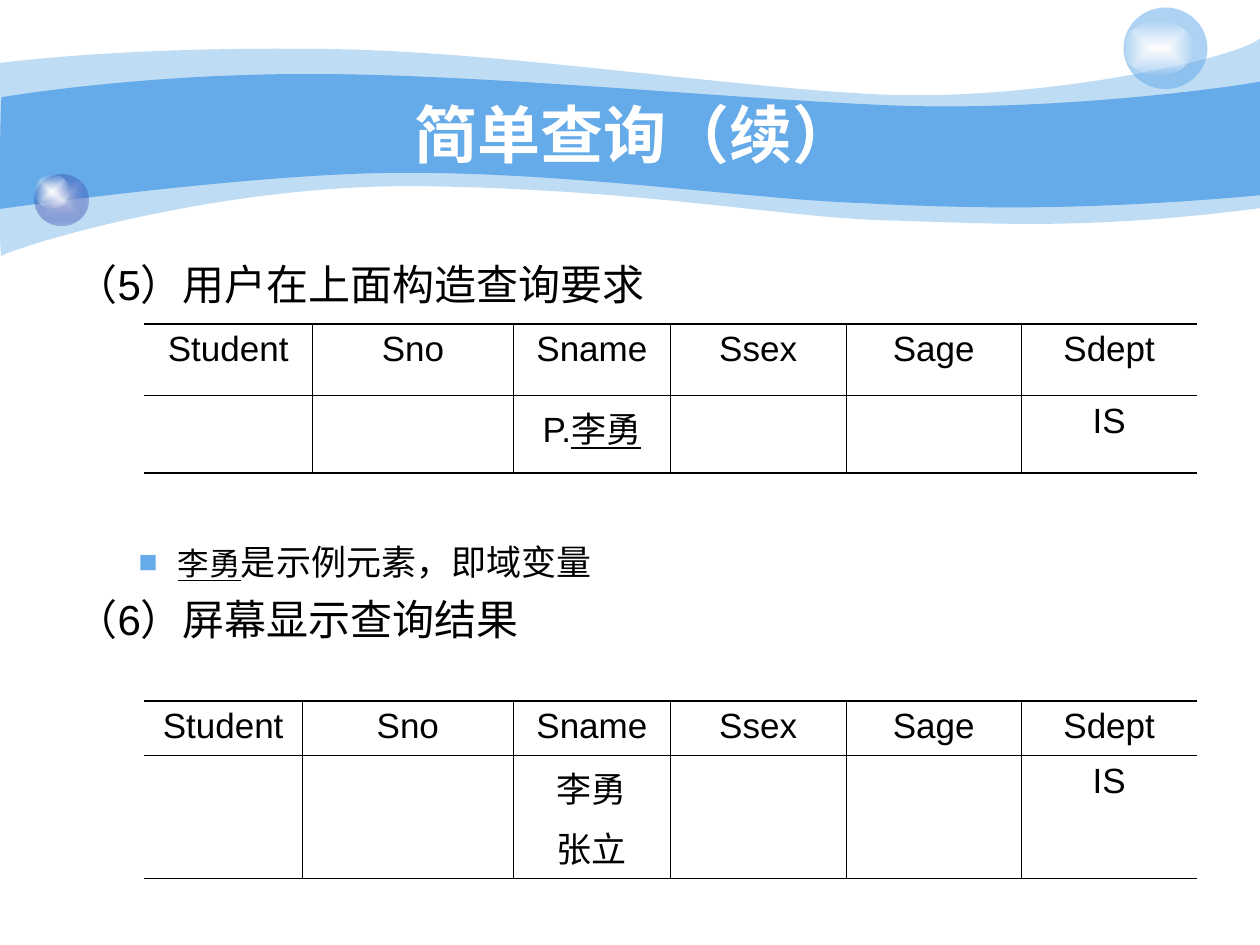
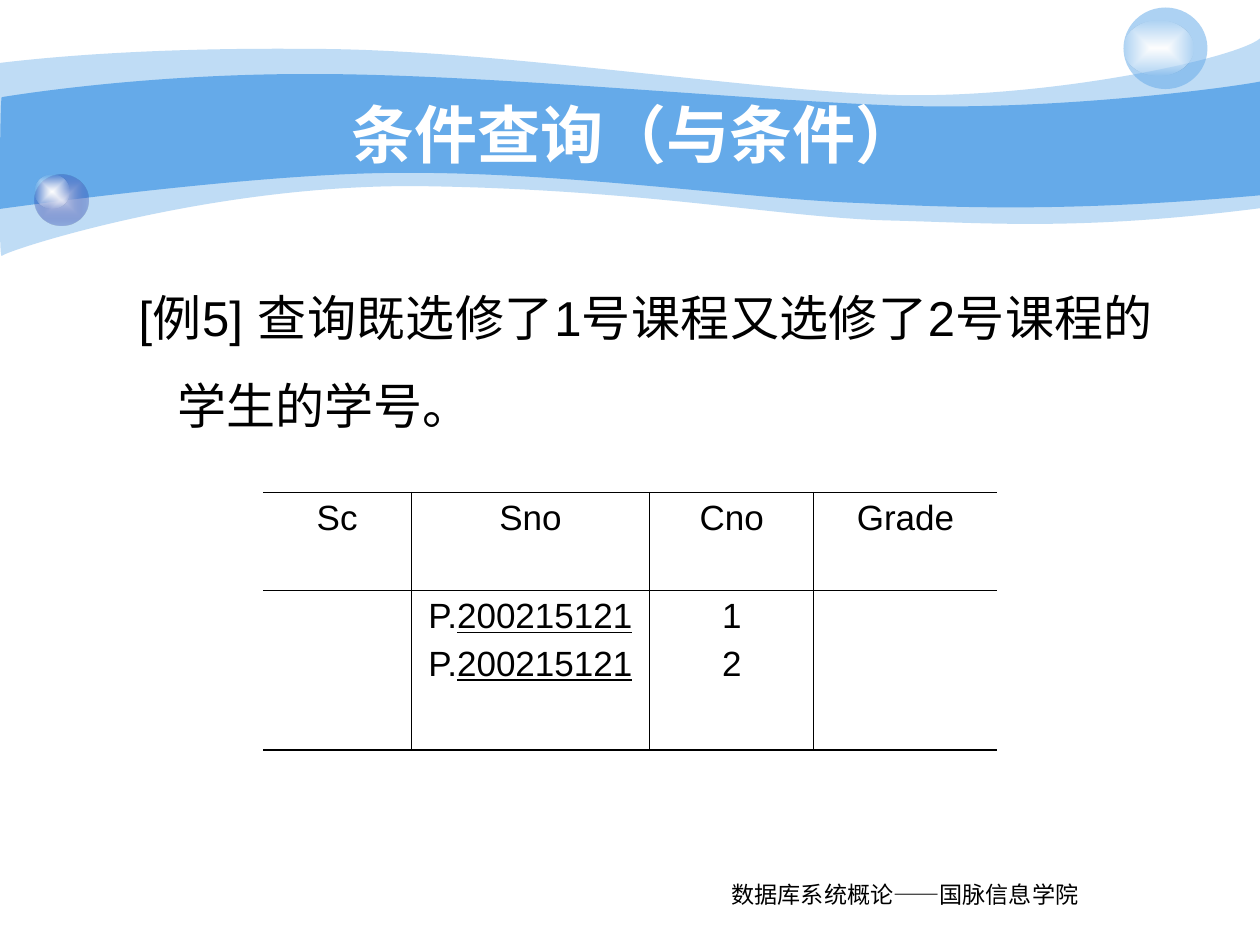
import pptx
import pptx.util
import pptx.dml.color
import pptx.enum.shapes
import pptx.enum.text
import pptx.oxml.ns
import lxml.etree

Pt = pptx.util.Pt
qn = pptx.oxml.ns.qn
RGBColor = pptx.dml.color.RGBColor
PP_ALIGN = pptx.enum.text.PP_ALIGN

SKY = RGBColor(0x65, 0xAA, 0xE9)
LAVENDER = RGBColor(0xC7, 0xCE, 0xE9)
NAVY = RGBColor(0x23, 0x3D, 0xA9)
WHITE = RGBColor(0xFF, 0xFF, 0xFF)
BLACK = RGBColor(0x00, 0x00, 0x00)

FONT = "Arial"
FOOTER_FONT = "Times New Roman"
THICK, THIN = 1.08, 0.45

# Each wave is a start point and its edges: one point for a line, three for a curve.
PALE_WAVE = ((0, 36), [
    [(17, 34), (77, 27), (178, 28)],
    [(278, 28), (414, 50), (503, 54)],
    [(592, 58), (706, 34), (720, 22)],
    [(720, 119)],
    [(618, 132), (567, 127.5), (508, 126)],
    [(448, 124.5), (371, 108.7), (247, 106.5)],
    [(124, 103.7), (3, 143.3), (1, 146.3)],
    [(-1, 150), (0, 54), (0, 36)],
])
MAIN_WAVE = ((1, 55.5), [
    [(1.5, 55.5), (79, 42), (179, 42.3)],
    [(278, 42.3), (428, 57.5), (517, 60.5)],
    [(606, 63), (703, 50), (720, 46.6)],
    [(720, 111.6)],
    [(614, 121), (551, 119), (491, 116)],
    [(431, 114), (322, 98), (228, 98.8)],
    [(146, 98.8), (-1, 119.5), (-1, 119.5)],
    [(0, 119.5), (0, 55.5), (1, 55.5)],
])


def add_child(parent, tag, **attributes):
    return lxml.etree.SubElement(parent, qn(tag), attributes)


def set_alpha(color_parent, percent):
    color = next(color_parent.iter(qn("a:srgbClr")))
    add_child(color, "a:alpha", val=str(percent * 1000))


def bend_edges(shape, edges):
    """Join each three line segments that stand for a curve into one cubic curve."""
    outline = next(shape.element.spPr.iter(qn("a:path")))
    segments = iter(outline.findall(qn("a:lnTo")))
    for edge in edges:
        parts = [next(segments) for _ in edge]
        if len(parts) == 3:
            curve = add_child(outline, "a:cubicBezTo")
            parts[0].addprevious(curve)
            for part in parts:
                curve.append(part[0])
                outline.remove(part)


class Deck:
    def __init__(self):
        self.presentation = pptx.Presentation()
        self.presentation.slide_width = Pt(720)
        self.presentation.slide_height = Pt(540)
        self.layout = self.presentation.slide_layouts[1]
        self.slide = None

    def new_slide(self, title):
        first = self.slide is None
        self.slide = self.presentation.slides.add_slide(self.layout)
        if first:
            self.decorate_layout()
        self.title(title)

    def decorate_layout(self):
        """Draw the waves and bubbles once and move them behind the layout's text."""
        decorations = [
            self.wave(PALE_WAVE, alpha=41),
            self.wave(MAIN_WAVE),
            self.bubble(19.8, 99.8, 30.5, 29, LAVENDER, NAVY, 31),
            self.bubble(19.8, 99.8, 20, 19.5, WHITE, WHITE, 0),
            self.bubble(642, 4.3, 48, 46.6, SKY, alpha=53),
            self.bubble(642, 12, 40, 31, WHITE, WHITE, 0),
        ]
        for position, decoration in enumerate(decorations, start=2):
            self.layout.shapes.element.insert(position, decoration.element)

    def finish(self, shape, color, alpha):
        shape.shadow.inherit = False
        shape.line.fill.background()
        shape.fill.solid()
        shape.fill.fore_color.rgb = color
        if alpha is not None:
            set_alpha(shape.element.spPr, alpha)
        return shape

    def wave(self, outline, alpha=None):
        start, edges = outline
        builder = self.slide.shapes.build_freeform(Pt(start[0]), Pt(start[1]))
        builder.add_line_segments(
            [(Pt(x), Pt(y)) for edge in edges for x, y in edge], close=True)
        shape = builder.convert_to_shape()
        bend_edges(shape, edges)
        return self.finish(shape, SKY, alpha)

    def bubble(self, left, top, width, height, center, edge=None, alpha=None):
        """Ellipse in one colour, or fading from the center to the edge colour."""
        oval = self.slide.shapes.add_shape(
            pptx.enum.shapes.MSO_SHAPE.OVAL, Pt(left), Pt(top), Pt(width), Pt(height))
        if edge is None:
            return self.finish(oval, center, alpha)
        self.finish(oval, center, None)
        oval.fill.gradient()
        for stop, color, place in zip(oval.fill.gradient_stops, (center, edge), (0, 1)):
            stop.color.rgb = color
            stop.position = place
        gradient = oval.element.spPr.find(qn("a:gradFill"))
        set_alpha(gradient.find(qn("a:gsLst"))[1], alpha)
        gradient.remove(gradient.find(qn("a:lin")))
        fade = add_child(gradient, "a:path", path="rect")
        add_child(fade, "a:fillToRect", l="50000", t="50000", r="50000", b="50000")
        return oval

    def place(self, shape, left, top, width, height):
        shape.left, shape.top = Pt(left), Pt(top)
        shape.width, shape.height = Pt(width), Pt(height)

    def run(self, paragraph, text, size, color=BLACK, font=FONT, bold=False, underline=False):
        run = paragraph.add_run()
        run.text = text
        run.font.name = font
        run.font.size = Pt(size)
        run.font.bold = bold
        run.font.underline = underline
        run.font.color.rgb = color

    def title(self, text):
        heading = self.slide.shapes.title
        self.place(heading, 72, 54, 582, 44.6)
        frame = heading.text_frame
        frame.auto_size = pptx.enum.text.MSO_AUTO_SIZE.NONE
        frame.vertical_anchor = pptx.enum.text.MSO_ANCHOR.MIDDLE
        frame.paragraphs[0].alignment = PP_ALIGN.CENTER
        self.run(frame.paragraphs[0], text, 36, WHITE, bold=True)

    def body(self, width, height):
        body = self.slide.placeholders[1]
        self.place(body, 36, 144, width, height)
        body.text_frame.auto_size = pptx.enum.text.MSO_AUTO_SIZE.NONE
        return body.text_frame

    def body_line(self, frame, runs, level=0, margin=27, hanging=27, before=0, bullet=False):
        """Add a list line; runs are (text, size, underline)."""
        first = frame.paragraphs[0]
        paragraph = frame.add_paragraph() if first.runs else first
        properties = paragraph._p.get_or_add_pPr()
        properties.set("marL", str(Pt(margin)))
        properties.set("indent", str(-Pt(hanging)))
        if bullet:
            add_child(add_child(properties, "a:buClr"), "a:srgbClr", val=str(SKY))
            add_child(properties, "a:buFont", typeface=FONT)
            add_child(properties, "a:buChar", char="■")
        else:
            add_child(properties, "a:buNone")
        paragraph.level = level
        paragraph.space_before = Pt(before)
        for text, size, underline in runs:
            self.run(paragraph, text, size, underline=underline)
        return paragraph

    def footer(self, text):
        box = self.slide.shapes.add_textbox(Pt(411), Pt(502.5), Pt(283.5), Pt(25))
        box.text_frame.word_wrap = True
        paragraph = box.text_frame.paragraphs[0]
        paragraph.line_spacing = 0.8
        self.run(paragraph, text, 13.2, font=FOOTER_FONT)

    def table(self, left, top, widths, heights, header, content):
        """Open-sided query table; content maps a column to its lines of runs."""
        table = self.slide.shapes.add_table(
            len(heights), len(widths), Pt(left), Pt(top),
            Pt(sum(widths)), Pt(sum(heights))).table
        table.first_row = table.horz_banding = False
        for column, width in zip(table.columns, widths):
            column.width = Pt(width)
        for row, height in zip(table.rows, heights):
            row.height = Pt(height)
        last = len(widths) - 1
        for index, name in enumerate(header):
            for row, lines in enumerate(([[(name, False)]], content.get(name, []))):
                cell = table.cell(row, index)
                cell.fill.background()
                self.borders(cell, L=THIN if index > 0 else 0, R=THIN if index < last else 0,
                             T=THIN if row else THICK, B=THICK if row else THIN)
                self.cell_lines(cell.text_frame, lines)

    def cell_lines(self, frame, lines):
        for number, runs in enumerate(lines):
            paragraph = frame.add_paragraph() if number else frame.paragraphs[0]
            paragraph.alignment = PP_ALIGN.CENTER
            paragraph.space_before = Pt(5 if number else 0)
            for text, underline in runs:
                self.run(paragraph, text, 20, underline=underline)

    def borders(self, cell, **widths):
        properties = cell._tc.get_or_add_tcPr()
        for position, (side, width) in enumerate(widths.items()):
            line = add_child(properties, "a:ln" + side, w=str(Pt(width)))
            if width:
                add_child(add_child(line, "a:solidFill"), "a:srgbClr", val=str(BLACK))
            else:
                add_child(line, "a:noFill")
            properties.insert(position, line)


def build_simple_query(deck):
    deck.new_slide("简单查询（续）")
    steps = deck.body(647, 354)
    deck.body_line(steps, [("（5）用户在上面构造查询要求", 24, False)])
    deck.body_line(steps, [("李勇", 18, True), ("是示例元素，即域变量", 20, False)],
                   level=1, margin=58.5, hanging=22.5, before=132.5, bullet=True)
    deck.body_line(steps, [("（6）屏幕显示查询结果", 24, False)], before=6)

    header = ["Student", "Sno", "Sname", "Ssex", "Sage", "Sdept"]
    shared_widths = [89.8, 100.3, 100.3, 100.3]
    department = [[("IS", False)]]
    deck.table(82.3, 185, [96.3, 114.8, *shared_widths], [41, 44.2], header,
               {"Sname": [[("P.", False), ("李勇", True)]], "Sdept": department})
    deck.table(82.3, 400.4, [90.5, 120.6, *shared_widths], [31.4, 70.3], header,
               {"Sname": [[("李勇", False)], [("张立", False)]], "Sdept": department})


def build_and_condition(deck):
    deck.new_slide("条件查询（与条件）")
    example = deck.body_line(
        deck.body(630, 132),
        [("[例5] 查询既选修了1号课程又选修了2号课程的学生的学号。", 28, False)],
        level=1, margin=58.5, hanging=22.5)
    example.alignment = PP_ALIGN.JUSTIFY
    example.line_spacing = 1.5

    student = [("P.", False), ("200215121", True)]
    deck.table(150.3, 281.5, [84.8, 136.2, 93.8, 104.8], [56, 91],
               ["Sc", "Sno", "Cno", "Grade"],
               {"Sno": [student, student], "Cno": [[("1", False)], [("2", False)]]})
    deck.footer("数据库系统概论——国脉信息学院")


def main():
    deck = Deck()
    build_simple_query(deck)
    build_and_condition(deck)
    deck.presentation.save("out.pptx")


if __name__ == "__main__":
    main()
